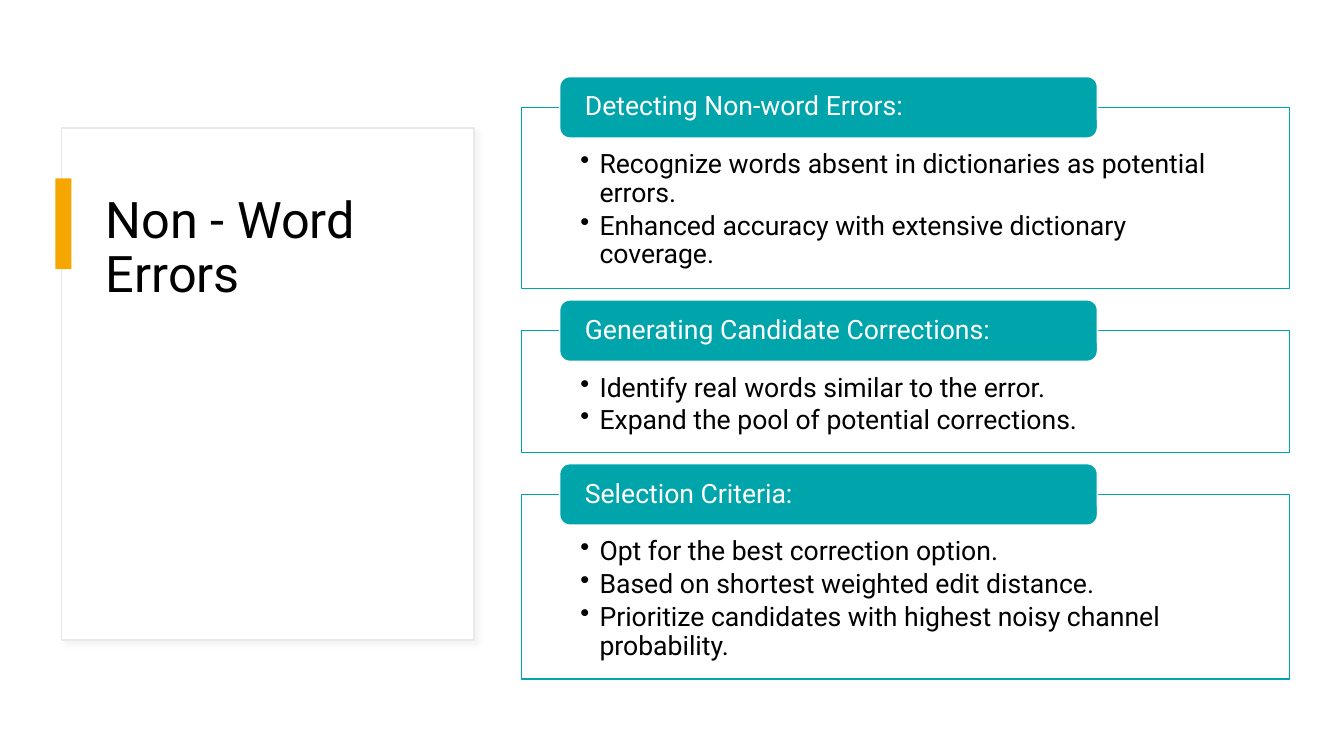
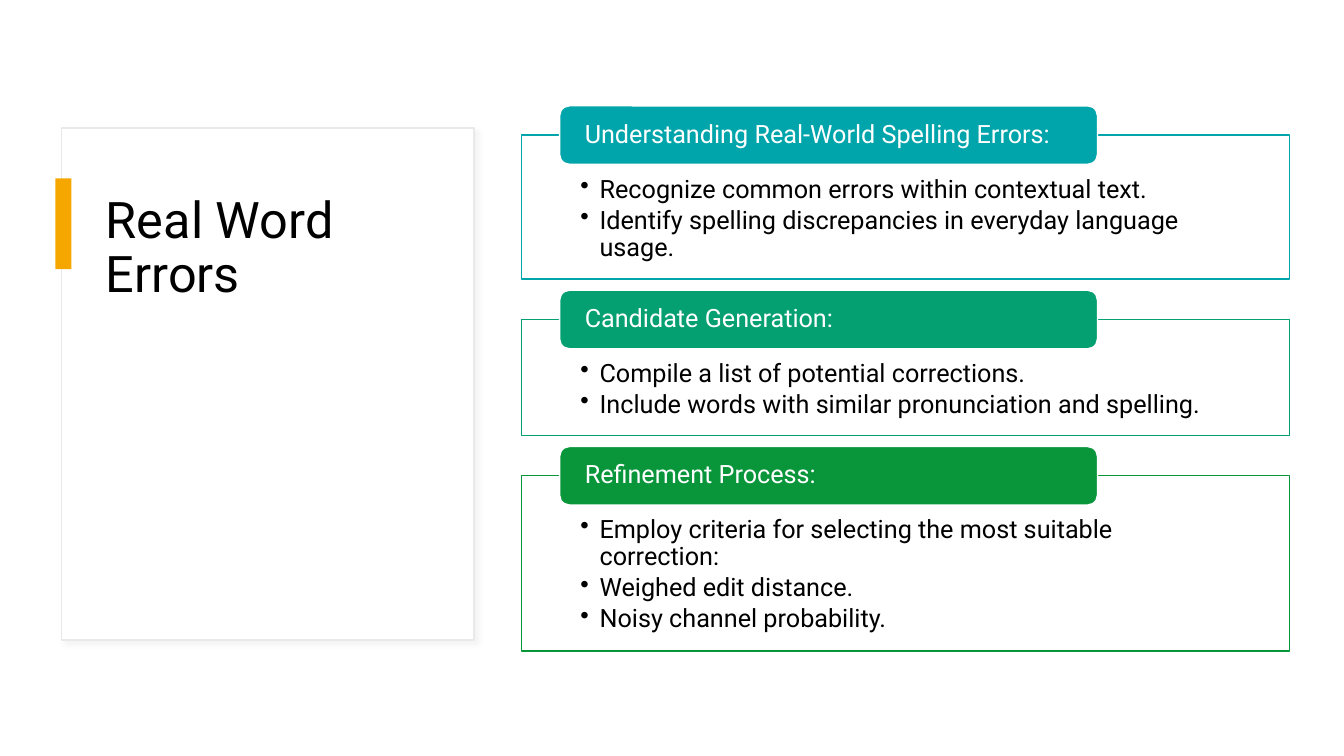
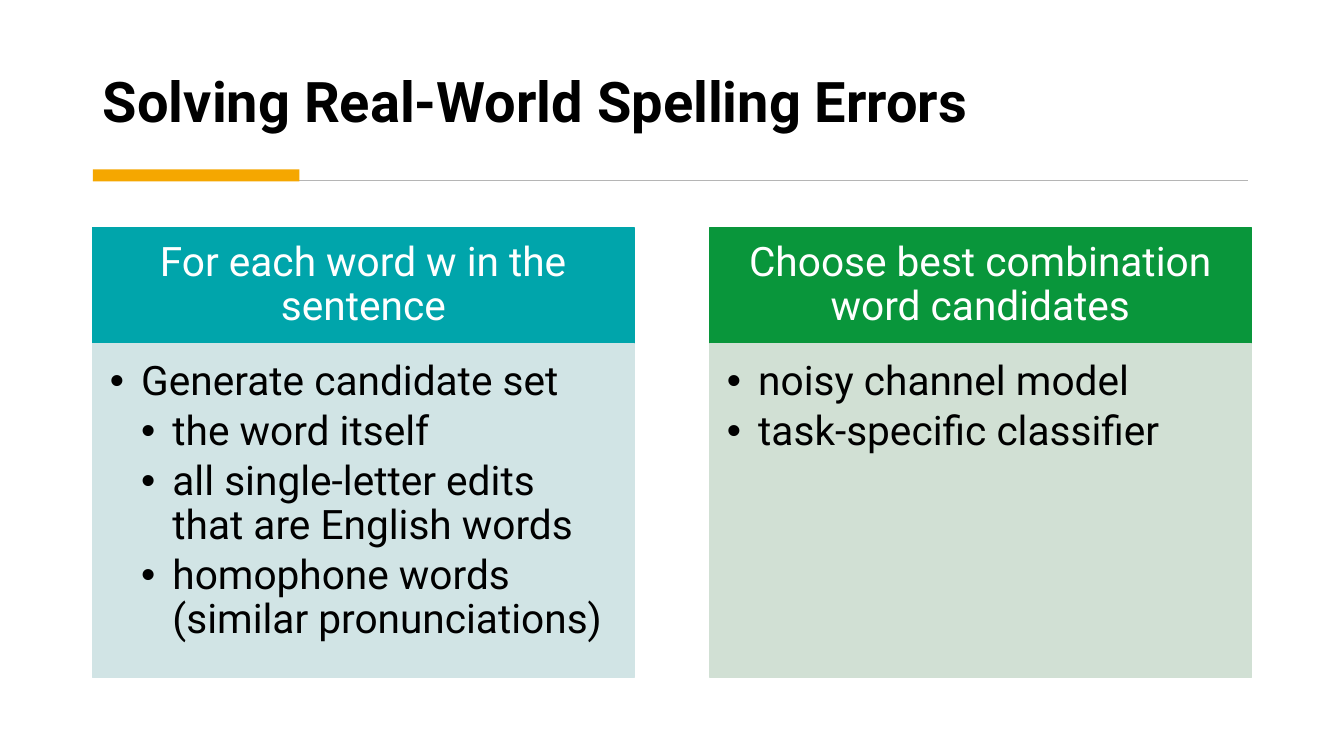
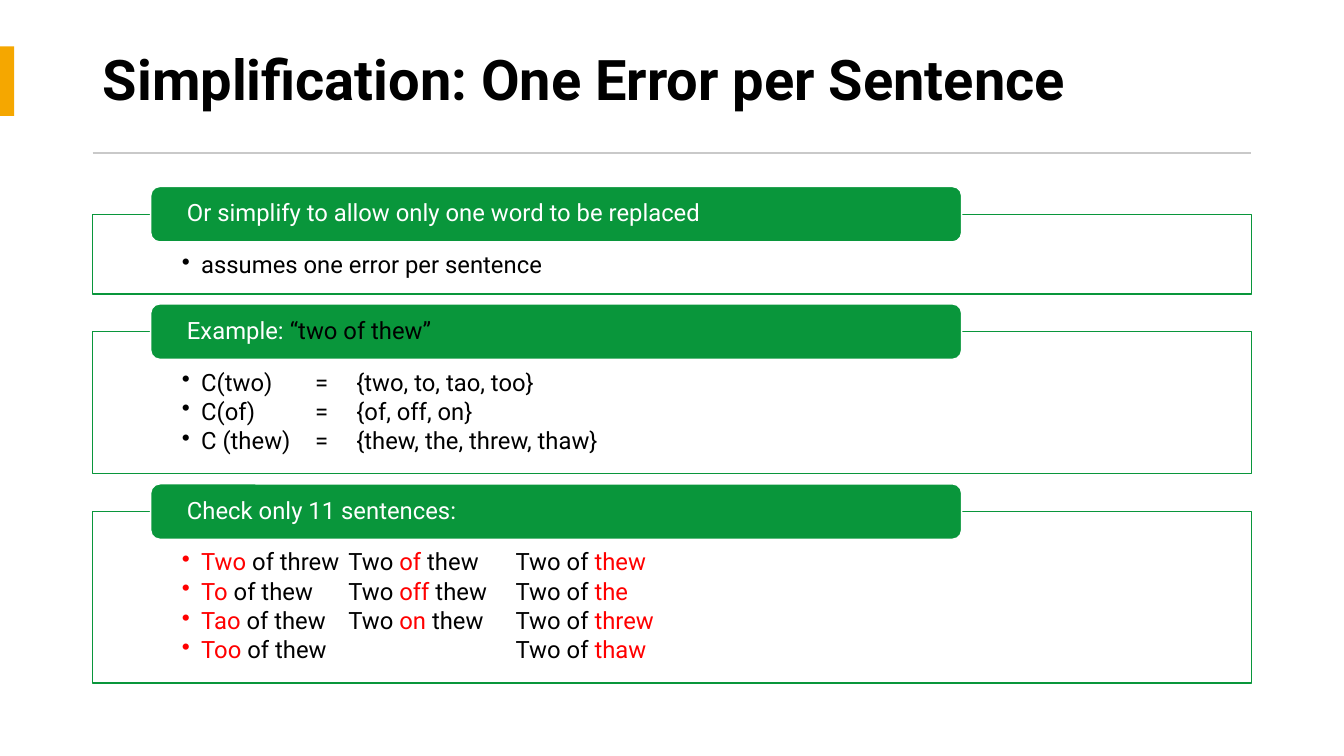
from lxml import etree
from pptx import Presentation
from pptx.dml.color import RGBColor
from pptx.enum.shapes import MSO_CONNECTOR, MSO_SHAPE
from pptx.enum.text import MSO_ANCHOR, MSO_AUTO_SIZE, PP_ALIGN
from pptx.oxml.ns import qn
from pptx.util import Inches, Pt

RECT, ROUND = MSO_SHAPE.RECTANGLE, MSO_SHAPE.ROUNDED_RECTANGLE
LINE = MSO_CONNECTOR.STRAIGHT
TOP, MIDDLE, BOTTOM = MSO_ANCHOR.TOP, MSO_ANCHOR.MIDDLE, MSO_ANCHOR.BOTTOM
LEFT, CENTER = PP_ALIGN.LEFT, PP_ALIGN.CENTER
FIXED = MSO_AUTO_SIZE.NONE

FONT = "Roboto"
COLORS = {
    "white": "FFFFFF", "black": "000000", "red": "FF0000",
    "amber": "F5A700", "teal": "00A5AB", "jade": "05A071",
    "green": "09963B", "mist": "D1E4E5", "sage": "D1E0D4",
    "edge": "E9E9E9", "rule": "B5B5B5", "pale": "C9C9C9",
    "shade": "D9D9D9",
}
TITLE_ONLY, COMPARE = 5, 4
PANEL = (5.17, 7.62)
WIDE = (0.92, 11.49)


def rgb(name):
    return RGBColor.from_string(COLORS[name])


def place(shape, box):
    shape.left, shape.top, shape.width, shape.height = map(Inches, box)


def paint(shape, fill, line=None):
    shape.fill.solid()
    shape.fill.fore_color.rgb = rgb(fill)
    if line:
        shape.line.color.rgb = rgb(line)
        shape.line.width = Pt(1)
    else:
        shape.line.fill.background()


def add_box(slide, box, fill, line=None, kind=RECT):
    shape = slide.shapes.add_shape(kind, *map(Inches, box))
    shape.shadow.inherit = False
    paint(shape, fill, line)
    return shape


def add_rule(slide, left, top, width, color, weight):
    rule = slide.shapes.add_connector(
        LINE, *map(Inches, (left, top, left + width, top)))
    rule.line.color.rgb = rgb(color)
    rule.line.width = Pt(weight)
    etree.SubElement(rule._element.spPr, qn("a:effectLst"))


def add_shadow(shape):
    effects = shape._element.spPr.find(qn("a:effectLst"))
    outer = etree.SubElement(effects, qn("a:outerShdw"), blurRad=str(Pt(4)),
                             dist=str(Pt(3)), dir=str(45 * 60000))
    color = etree.SubElement(outer, qn("a:srgbClr"), val=COLORS["shade"])
    etree.SubElement(color, qn("a:alpha"), val="30000")


def set_frame(shape, insets, anchor):
    frame = shape.text_frame
    frame.word_wrap = True
    frame.auto_size = FIXED
    frame.vertical_anchor = anchor
    (frame.margin_left, frame.margin_top,
     frame.margin_right, frame.margin_bottom) = map(Inches, insets)
    return frame


def write(para, text, size, color, accent=None, bold=False, align=LEFT):
    """Fill a paragraph; parts between asterisks take the accent colour."""
    para.alignment = align
    para.line_spacing = 0.9
    para.space_before = Pt(0)
    for i, part in enumerate(text.split("*")):
        if part:
            run = para.add_run()
            run.text = part
            font = run.font
            font.name, font.size, font.bold = FONT, Pt(size), bold
            font.color.rgb = rgb(accent if i % 2 else color)


def add_bullet(para, hang, level, tabs):
    props = para._p.get_or_add_pPr()
    props.set("marL", str(Inches(hang * (level + 1))))
    props.set("indent", str(-Inches(hang)))
    etree.SubElement(props, qn("a:buChar"), char="•")
    if tabs:
        stops = etree.SubElement(props, qn("a:tabLst"))
        for stop in tabs:
            etree.SubElement(stops, qn("a:tab"), pos=str(Inches(stop)),
                             algn="l")


def fill_list(frame, items, size, hang, tabs=()):
    """Write bulleted items; a leading '>' marks the second level."""
    for i, item in enumerate(items):
        para = frame.add_paragraph() if i else frame.paragraphs[0]
        level = int(item.startswith(">"))
        para.level = level
        add_bullet(para, hang, level, tabs)
        write(para, item.lstrip(">"), size, "black", "red")
        para.space_after = Pt(size * 0.15)


def set_title(slide, text, box, size, anchor, bold=False):
    title = slide.shapes.title
    place(title, box)
    frame = set_frame(title, (0.1, 0.05, 0.1, 0.05), anchor)
    write(frame.paragraphs[0], text, size, "black", bold=bold)


def add_card(slide, text):
    card = add_box(slide, (0.61, 1.27, 4.09, 5.08), "white", "edge")
    add_shadow(card)
    # The title was created first, so lift it above the card.
    card._element.addnext(slide.shapes.title._element)
    set_title(slide, text, (0.95, 1.88, 3.39, 3.85), 36, TOP)
    add_box(slide, (0.55, 1.77, 0.16, 0.9), "amber")


def add_panels(slide, span, top, tab, gap, size, panels):
    """Stack framed lists, each with a tab centred on its top edge."""
    left, width = span
    side = width * 0.077
    for head, color, height, items, *tabs in panels:
        edge = top + tab / 2
        body = add_box(slide, (left, edge, width, height), "white", color)
        frame = set_frame(body, (side, size * 0.0227, side, 0.13), TOP)
        fill_list(frame, items, size, 0.19, tabs)
        label = add_box(slide, (left + width * 0.05, top, width * 0.7, tab),
                        color, "white", ROUND)
        inset = width * 0.029
        frame = set_frame(label, (inset, 0, inset, 0), MIDDLE)
        write(frame.paragraphs[0], head, size, "white", "black")
        top = edge + height + gap


def add_columns(slide, columns):
    holders = list(slide.placeholders)[1:]
    for i, (head, color, tint, items) in enumerate(columns):
        left, width = 0.92 + 6.12 * i, 5.37
        label, body = holders[2 * i:2 * i + 2]
        place(label, (left, 2.26, width, 1.15))
        paint(label, color, color)
        frame = set_frame(label, (0.23, 0.13, 0.23, 0.13), MIDDLE)
        write(frame.paragraphs[0], head, 29, "white", align=CENTER)
        place(body, (left, 3.41, width, 3.31))
        paint(body, tint, tint)
        frame = set_frame(body, (0.17, 0.17, 0.23, 0.25), TOP)
        fill_list(frame, items, 29, 0.31)


def main():
    deck = Presentation()
    deck.slide_width, deck.slide_height = Inches(13.33), Inches(7.5)

    def new(layout):
        return deck.slides.add_slide(deck.slide_layouts[layout])

    slide = new(TITLE_ONLY)
    add_card(slide, "Non - Word Errors")
    add_panels(slide, PANEL, 0.76, 0.61, 0.11, 19, [
        ("Detecting Non-word Errors:", "teal", 1.8, [
            "Recognize words absent in dictionaries as potential errors.",
            "Enhanced accuracy with extensive dictionary coverage."]),
        ("Generating Candidate Corrections:", "teal", 1.21, [
            "Identify real words similar to the error.",
            "Expand the pool of potential corrections."]),
        ("Selection Criteria:", "teal", 1.83, [
            "Opt for the best correction option.",
            "Based on shortest weighted edit distance.",
            "Prioritize candidates with highest noisy channel probability."]),
    ])

    slide = new(TITLE_ONLY)
    add_card(slide, "Real Word Errors")
    add_panels(slide, PANEL, 1.05, 0.58, 0.11, 18, [
        ("Understanding Real-World Spelling Errors:", "teal", 1.43, [
            "Recognize common errors within contextual text.",
            "Identify spelling discrepancies in everyday language usage."]),
        ("Candidate Generation:", "jade", 1.15, [
            "Compile a list of potential corrections.",
            "Include words with similar pronunciation and spelling."]),
        ("Refinement Process:", "green", 1.74, [
            "Employ criteria for selecting the most suitable correction:",
            "Weighed edit distance.",
            "Noisy channel probability."]),
    ])

    slide = new(COMPARE)
    set_title(slide, "Solving Real-World Spelling Errors",
              (0.92, 0.28, 11.49, 1.11), 40, BOTTOM, True)
    add_rule(slide, 0.92, 1.79, 11.46, "rule", 1.25)
    add_box(slide, (0.92, 1.68, 2.05, 0.12), "amber")
    add_columns(slide, [
        ("For each word w in the sentence", "teal", "mist", [
            "Generate candidate set",
            ">the word itself",
            ">all single-letter edits that are English words",
            ">homophone words (similar pronunciations)"]),
        ("Choose best combination word candidates", "green", "sage", [
            "noisy channel model",
            "task-specific classifier"]),
    ])

    slide = new(TITLE_ONLY)
    set_title(slide, "Simplification: One Error per Sentence",
              (0.92, 0.27, 11.49, 1.1), 40, MIDDLE, True)
    add_box(slide, (0, 0.46, 0.14, 0.69), "amber")
    add_rule(slide, 0.92, 1.52, 11.49, "pale", 1.5)
    add_panels(slide, WIDE, 1.85, 0.55, 0.1, 17, [
        ("Or simplify to allow only one word to be replaced", "green", 0.79, [
            "assumes one error per sentence"]),
        ("Example: *“two of thew”*", "green", 1.41, [
            "C(two)\t=\t{two, to, tao, too}",
            "C(of)\t=\t{of, off, on}",
            "C (thew)\t=\t{thew, the, threw, thaw}"], 1.32, 1.73),
        ("Check only 11 sentences:", "green", 1.7, [
            "*Two* of threw\tTwo *of* thew\tTwo of *thew*",
            "*To* of thew\tTwo *off* thew\tTwo of *the*",
            "*Tao* of thew\tTwo *on* thew\tTwo of *threw*",
            "*Too* of thew\t\tTwo of *thaw*"], 1.65, 3.31),
    ])

    deck.save("out.pptx")


if __name__ == "__main__":
    main()
